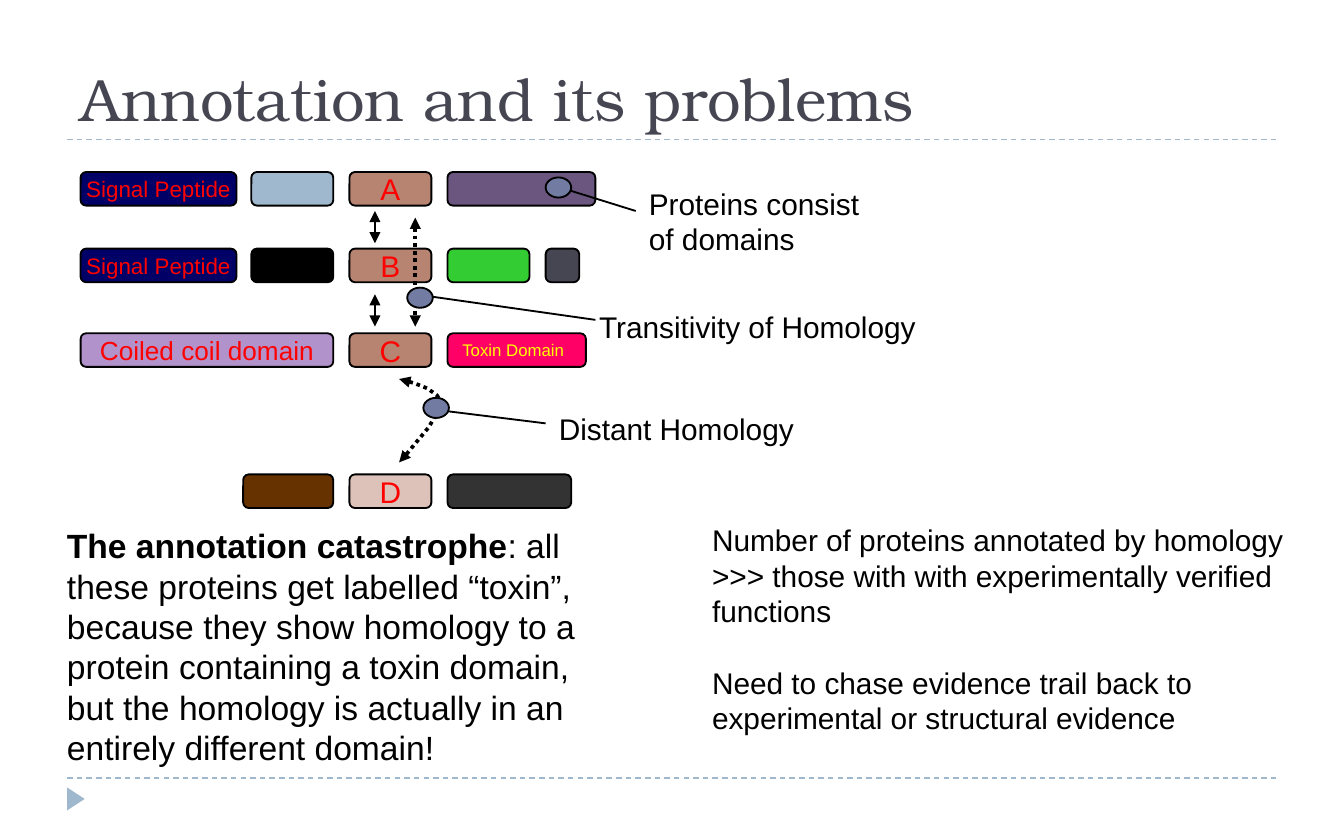
from dataclasses import dataclass

from lxml.etree import SubElement
from pptx import Presentation
from pptx.dml.color import RGBColor
from pptx.enum.dml import MSO_LINE
from pptx.enum.shapes import MSO_CONNECTOR, MSO_SHAPE
from pptx.enum.text import MSO_ANCHOR, PP_ALIGN
from pptx.oxml.ns import qn
from pptx.util import Inches, Pt

BLACK = RGBColor(0x00, 0x00, 0x00)
NAVY = RGBColor(0x00, 0x00, 0x66)
SKY = RGBColor(0x9F, 0xB8, 0xCD)
CLAY = RGBColor(0xB8, 0x84, 0x72)
PLUM = RGBColor(0x6B, 0x56, 0x80)
GREEN = RGBColor(0x33, 0xCC, 0x33)
SLATE = RGBColor(0x46, 0x46, 0x53)
LILAC = RGBColor(0xB2, 0x92, 0xCA)
PINK = RGBColor(0xFF, 0x00, 0x66)
BROWN = RGBColor(0x66, 0x33, 0x00)
CHARCOAL = RGBColor(0x33, 0x33, 0x33)
STEEL = RGBColor(0x72, 0x7C, 0xA3)
RED = RGBColor(0xFF, 0x00, 0x00)
YELLOW = RGBColor(0xFF, 0xFF, 0x00)

BAR_HEIGHT = 0.25
COLUMN_WIDTH = 0.61
COLUMNS = (0, 1.27, 2.0, 2.73, 3.46)
ROWS = (0, 0.57, 1.2, 2.25)

SIGNAL = (0, 1.16, NAVY, "Signal Peptide", {"size": 12})
PROTEINS = (
    (SIGNAL, (1, COLUMN_WIDTH, SKY), (2, COLUMN_WIDTH, CLAY, "A"), (3, 1.1, PLUM)),
    (SIGNAL, (1, COLUMN_WIDTH, BLACK), (2, COLUMN_WIDTH, CLAY, "B"),
     (3, COLUMN_WIDTH, GREEN), (4, 0.25, SLATE)),
    ((0, 1.88, LILAC, "Coiled coil domain", {"size": 14}), (2, COLUMN_WIDTH, CLAY, "C"),
     (3, 1.03, PINK, "Toxin Domain", {"size": 9, "color": YELLOW, "align": PP_ALIGN.LEFT})),
    ((0.95, 0.67, BROWN), (2, COLUMN_WIDTH, CLAY, "D", {"alpha": 49}), (3, 0.92, CHARCOAL)),
)
CURVE = ((237, 154), (248, 157), (258, 161), (265, 166), (267, 169), (267, 175),
         (263, 183), (259, 190), (249, 202), (240, 213), (237, 216))
CALLOUTS = (
    ("Proteins consist of domains", (4.13, 0.05, 1.89, 0.64), (3.46, 0.04),
     (4.13, 0.29), (3.52, 0.1)),
    ("Transitivity of Homology", (3.76, 0.97, 2.67, 0.37), (2.43, 0.86),
     (3.83, 1.1), (2.49, 0.91)),
    ("Distant Homology", (3.46, 1.73, 1.97, 0.37), (2.55, 1.68),
     (3.46, 1.87), (2.73, 1.78)),
)


@dataclass
class Box:
    left: float
    top: float
    width: float
    height: float

    def inner(self, left, top, width, height):
        return Box(self.left + left, self.top + top, width, height)

    def emu(self):
        return [Inches(n) for n in (self.left, self.top, self.width, self.height)]


def add_span(para, text, size=16, color=BLACK, font="Arial", bold=False):
    span = para.add_run()
    span.text = text
    span.font.size = Pt(size)
    span.font.color.rgb = color
    span.font.name = font
    span.font.bold = bold


def add_text(page, box, paragraphs, size=16, gap=0):
    frame = page.shapes.add_textbox(*box.emu()).text_frame
    frame.word_wrap = True
    for index, spans in enumerate(paragraphs):
        para = frame.add_paragraph() if index else frame.paragraphs[0]
        para.space_before = Pt(gap if index else 0)
        for text, bold in spans:
            add_span(para, text, size=size, bold=bold)


def add_figure(page, kind, box, fill, outline=BLACK):
    figure = page.shapes.add_shape(kind, *box.emu())
    figure.shadow.inherit = False
    figure.fill.solid()
    figure.fill.fore_color.rgb = fill
    figure.line.color.rgb = outline
    figure.line.width = Pt(1)
    return figure


def add_domain(page, box, fill, text="", size=16, color=RED, align=PP_ALIGN.CENTER, alpha=100):
    bar = add_figure(page, MSO_SHAPE.ROUNDED_RECTANGLE, box, fill)
    if alpha < 100:
        tint = bar.element.spPr.find(qn("a:solidFill"))[0]
        SubElement(tint, qn("a:alpha")).set("val", str(alpha * 1000))
    if text:
        frame = bar.text_frame
        frame.word_wrap = align == PP_ALIGN.LEFT
        frame.vertical_anchor = MSO_ANCHOR.MIDDLE
        frame.paragraphs[0].alignment = align
        add_span(frame.paragraphs[0], text, size=size, color=color)


def style_line(shape, color=BLACK, width=1, dash=None, arrows=False):
    shape.line.color.rgb = color
    shape.line.width = Pt(width)
    if dash:
        shape.line.dash_style = dash
    if arrows:
        line = shape.element.spPr.find(qn("a:ln"))
        for end in ("a:headEnd", "a:tailEnd"):
            SubElement(line, qn(end)).set("type", "triangle")


def add_line(page, box, start, end, **style):
    points = [Inches(n) for x, y in (start, end) for n in (box.left + x, box.top + y)]
    line = page.shapes.add_connector(MSO_CONNECTOR.STRAIGHT, *points)
    style_line(line, **style)
    SubElement(line.element.spPr, qn("a:effectLst"))


def add_heading(page, box, text):
    title = page.shapes.title
    title.left, title.top, title.width, title.height = box.emu()
    frame = title.text_frame
    frame.vertical_anchor = MSO_ANCHOR.BOTTOM
    frame.paragraphs[0].alignment = PP_ALIGN.LEFT
    add_span(frame.paragraphs[0], text, size=32, color=SLATE, font="TeX Gyre Bonum")


def add_frame(page, box):
    for y in (0, box.height):
        add_line(page, box, (0, y), (box.width, y), color=SKY, width=0.75, dash=MSO_LINE.DASH)
    marker = box.inner(-0.02, box.height + 0.09, 0.17, 0.13)
    triangle = add_figure(page, MSO_SHAPE.ISOSCELES_TRIANGLE, marker, SKY, SKY)
    triangle.line.fill.background()
    triangle.rotation = 90


def add_proteins(page, box):
    for top, domains in zip(ROWS, PROTEINS):
        for place, width, fill, *label in domains:
            left = COLUMNS[place] if isinstance(place, int) else box.width * place / 3
            if isinstance(place, float):
                left = COLUMNS[1] + COLUMN_WIDTH - width
            text = label[0] if label else ""
            style = label[1] if len(label) > 1 else {}
            add_domain(page, box.inner(left, top, width, BAR_HEIGHT), fill, text, **style)


def add_homology(page, box):
    for top in (0.29, 0.91):
        add_line(page, box, (2.19, top), (2.19, top + 0.24), arrows=True)
    dotted = {"width": 2, "dash": MSO_LINE.ROUND_DOT, "arrows": True}
    add_line(page, box, (2.49, 0.34), (2.49, 1.15), **dotted)
    builder = page.shapes.build_freeform(*CURVE[0], scale=Inches(0.01))
    builder.add_line_segments(CURVE[1:], close=False)
    curve = builder.convert_to_shape(Inches(box.left), Inches(box.top))
    curve.shadow.inherit = False
    curve.fill.background()
    style_line(curve, **dotted)


def add_callouts(page, box):
    for text, area, dot, start, end in CALLOUTS:
        add_text(page, box.inner(*area), [[(text, False)]])
        add_line(page, box, start, end)
        add_figure(page, MSO_SHAPE.OVAL, box.inner(*dot, 0.19, 0.15), STEEL)


def main():
    deck = Presentation()
    deck.slide_width, deck.slide_height = Inches(10), Inches(6.25)
    page = deck.slides.add_slide(deck.slide_layouts[5])
    add_frame(page, Box(0.5, 1.04, 9, 4.75))
    add_heading(page, Box(0.5, 0.21, 9, 0.83), "Annotation and its problems")
    diagram = Box(0.6, 1.28, 3.83, 2.5)
    for draw in (add_proteins, add_homology, add_callouts):
        draw(page, diagram)
    add_text(page, Box(0.4, 3.86, 4.18, 1.92), [[
        ("The annotation catastrophe", True),
        (": all these proteins get labelled “toxin”, because they show homology to a protein "
         "containing a toxin domain, but the homology is actually in an entirely different "
         "domain!", False)]], size=18)
    add_text(page, Box(5.2, 3.83, 4.8, 1.72), [
        [("Number of proteins annotated by homology >>> those with with experimentally "
          "verified functions", False)],
        [("Need to chase evidence trail back to experimental or structural evidence", False)],
    ], gap=19)
    deck.save("out.pptx")


if __name__ == "__main__":
    main()
